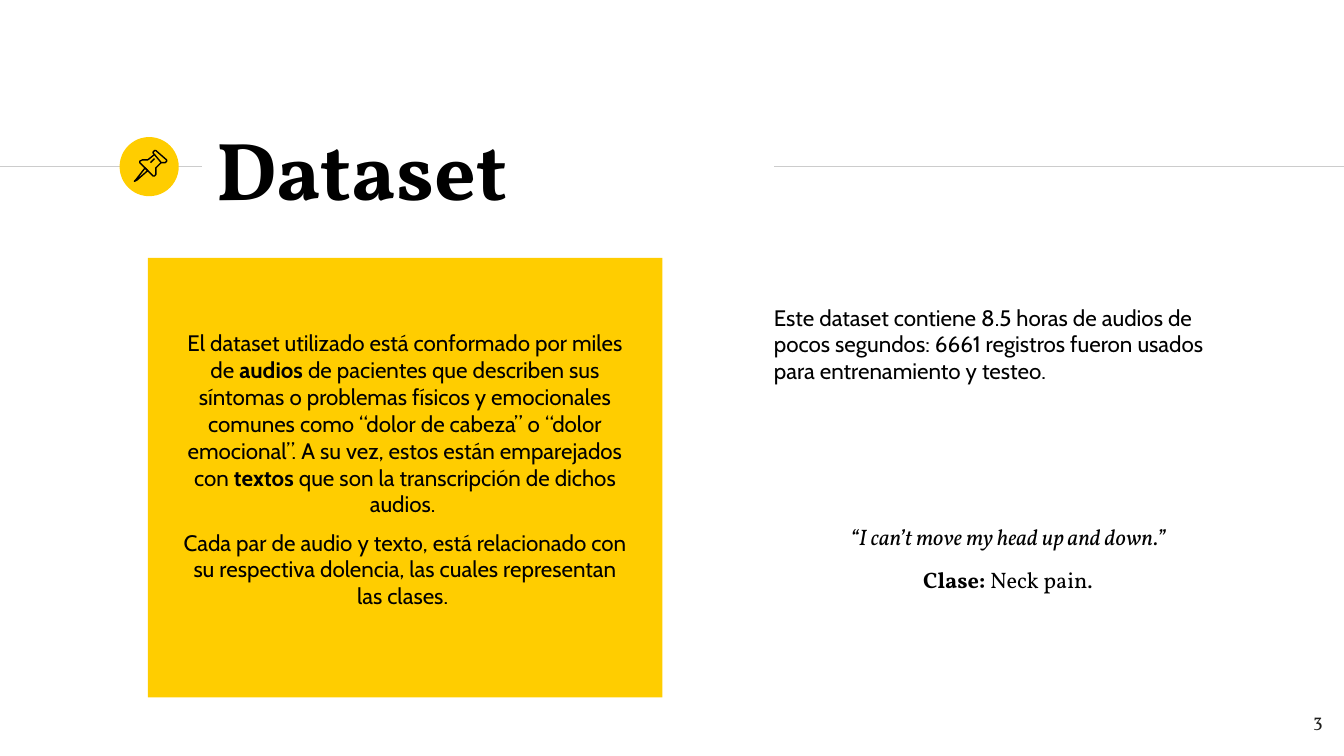
from dataclasses import dataclass

from pptx import Presentation
from pptx import util as u
from pptx.dml.color import RGBColor
from pptx.enum import shapes, text
from pptx.oxml import parse_xml
from pptx.oxml.ns import nsdecls

YELLOW = RGBColor(0xFF, 0xCD, 0x00)
GREY = RGBColor(0xCC, 0xCC, 0xCC)
BLACK = RGBColor(0x00, 0x00, 0x00)
INK = RGBColor(0x1D, 0x1D, 0x1B)
SANS, SERIF = "Cabin", "Vollkorn"
LEFT, CENTER, RIGHT = text.PP_ALIGN.LEFT, text.PP_ALIGN.CENTER, text.PP_ALIGN.RIGHT

PAGE_WIDTH = 10
PAGE_HEIGHT = PAGE_WIDTH * 9 / 16
RULE_Y = 1.24
COLUMN_X, COLUMN_WIDTH = 5.66, 3.68


@dataclass(frozen=True)
class Span:
    words: str
    bold: bool = False


@dataclass(frozen=True)
class TextBlock:
    area: tuple[float, float, float, float]
    paragraphs: list[list[Span]]
    font: str = SANS
    size: float = 12
    color: RGBColor = BLACK
    align: text.PP_ALIGN = LEFT
    anchor: text.MSO_ANCHOR = text.MSO_ANCHOR.TOP
    italic: bool = False


@dataclass(frozen=True)
class PinPart:
    points: list[tuple[int, int]]  # hundredths of an inch
    closed: bool = False


TEXT_BLOCKS = [
    TextBlock((1.51, 1.01, 4.24, 0.48), [[Span("Dataset", True)]], SERIF, 44,
              anchor=text.MSO_ANCHOR.MIDDLE),
    TextBlock((1.25, 2.35, 3.53, 2.41), [
        [Span("El dataset utilizado está conformado por miles de "),
         Span("audios", True),
         Span(" de pacientes que describen sus síntomas o problemas físicos y "
              "emocionales comunes como “dolor de cabeza” o “dolor emocional”. "
              "A su vez, estos están emparejados con "),
         Span("textos", True),
         Span(" que son la transcripción de dichos audios. ")],
        [Span("Cada par de audio y texto, está relacionado con su respectiva "
              "dolencia, las cuales representan las clases. ")],
    ], align=CENTER),
    TextBlock((COLUMN_X, 2.16, COLUMN_WIDTH, 1.11), [
        [Span("Este dataset contiene 8.5 horas de audios de pocos segundos: "
              "6661 registros fueron usados para entrenamiento y testeo.")]]),
    TextBlock((9.34, 5.19, 0.6, 0.43), [[Span("3")]], SERIF, 10, INK, RIGHT),
    TextBlock((COLUMN_X, 3.79, COLUMN_WIDTH, 0.57),
              [[Span("“I can’t move my head up and down.”")]],
              SERIF, align=CENTER, italic=True),
    TextBlock((COLUMN_X, 4.11, COLUMN_WIDTH, 0.57),
              [[Span("Clase: ", True), Span("Neck pain.")]], SERIF, align=CENTER),
]

PIN_PARTS = [
    # Needle
    PinPart([(108, 125), (101, 134), (100, 135), (102, 134), (110, 127)], True),
    # Head
    PinPart([(115, 115), (120, 121), (122, 121), (123, 121), (124, 120),
             (124, 119), (116, 112), (115, 112), (114, 113), (114, 114)], True),
    # Body
    PinPart([(115, 115), (110, 119), (108, 119), (106, 119), (104, 120),
             (104, 121), (114, 131), (115, 131), (116, 130), (116, 128),
             (116, 125), (120, 121)]),
    # Highlight
    PinPart([(112, 121), (115, 118)]),
]


def add_rule(page, start: float, end: float) -> None:
    rule = page.shapes.add_connector(
        shapes.MSO_CONNECTOR.STRAIGHT,
        u.Inches(start), u.Inches(RULE_Y), u.Inches(end), u.Inches(RULE_Y))
    rule.line.color.rgb = GREY
    rule.line.width = u.Pt(0.75)
    rule._element.spPr.append(parse_xml(f"<a:effectLst {nsdecls('a')}/>"))


def add_panel(page, kind: shapes.MSO_SHAPE, area: tuple[float, ...]) -> None:
    panel = page.shapes.add_shape(kind, *map(u.Inches, area))
    panel.shadow.inherit = False
    panel.fill.solid()
    panel.fill.fore_color.rgb = YELLOW
    panel.line.fill.background()


def add_pin(page, parts: list[PinPart]) -> None:
    pin = page.shapes.add_group_shape()
    for part in parts:
        builder = pin.shapes.build_freeform(*part.points[0], scale=u.Inches(0.01))
        builder.add_line_segments(part.points[1:], close=part.closed)
        outline = builder.convert_to_shape()
        outline.shadow.inherit = False
        outline.fill.background()
        outline.line.color.rgb = BLACK
        outline.line.width = u.Pt(0.75)


def add_text(page, block: TextBlock) -> None:
    box = page.shapes.add_textbox(*map(u.Inches, block.area))
    frame = box.text_frame
    frame.word_wrap = True
    frame.vertical_anchor = block.anchor
    frame.margin_left = frame.margin_right = u.Inches(0.1)
    frame.margin_top = frame.margin_bottom = u.Inches(0.1)
    for index, spans in enumerate(block.paragraphs):
        para = frame.add_paragraph() if index else frame.paragraphs[0]
        para.alignment = block.align
        para.space_before = u.Pt(6 if index else 0)
        para.font.name = block.font
        para.font.size = u.Pt(block.size)
        para.font.color.rgb = block.color
        para.font.italic = block.italic
        for span in spans:
            run = para.add_run()
            run.text = span.words
            run.font.bold = span.bold


def main() -> None:
    deck = Presentation()
    deck.slide_width = u.Inches(PAGE_WIDTH)
    deck.slide_height = u.Inches(PAGE_HEIGHT)
    page = deck.slides.add_slide(deck.slide_layouts[6])

    # Header rules and badge, then the yellow panel
    add_rule(page, 0, 1.5)
    add_panel(page, shapes.MSO_SHAPE.OVAL, (0.89, 1.02, 0.44, 0.44))
    add_rule(page, 5.76, PAGE_WIDTH)
    add_panel(page, shapes.MSO_SHAPE.RECTANGLE, (1.1, 1.92, 3.83, 3.27))

    # Pushpin icon
    add_pin(page, PIN_PARTS)

    # Title, body, example and page number
    for block in TEXT_BLOCKS:
        add_text(page, block)

    deck.save("out.pptx")


if __name__ == "__main__":
    main()
